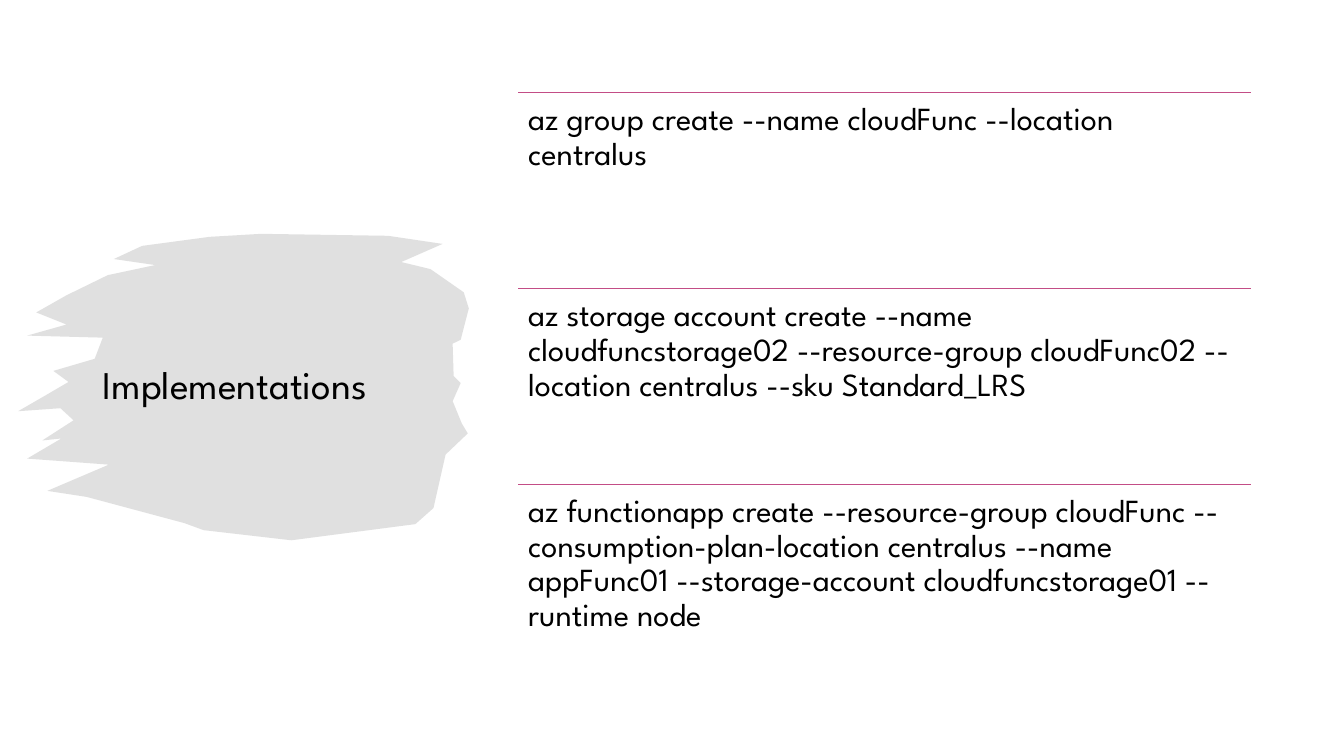
from lxml import etree
from pptx import Presentation
from pptx.dml.color import RGBColor
from pptx.enum import shapes, text
from pptx.oxml import ns
from pptx.util import Inches, Pt

BLACK = RGBColor(0x00, 0x00, 0x00)
GREY = RGBColor(0xD9, 0xD9, 0xD9)
PINK = RGBColor(0xC3, 0x4D, 0x86)

BRUSH_OUTLINE = [
    (2.59, 2.32), (3.85, 2.34), (4.39, 2.42), (3.98, 2.6), (4.27, 2.67),
    (4.6, 2.9), (4.65, 3.06), (4.57, 3.37), (4.49, 3.41), (4.5, 3.73),
    (4.57, 3.8), (4.49, 3.98), (4.58, 4.2), (4.64, 4.3), (4.42, 4.51),
    (4.3, 5.04), (4.12, 5.2), (2.89, 5.36), (2.02, 5.26), (1.83, 5.19),
    (0.86, 4.93), (0.47, 4.87), (1.08, 4.61), (0.27, 4.55), (0.61, 4.35),
    (0.42, 4.37), (0.73, 4.17), (0.6, 4.05), (0.18, 4.08), (0.44, 3.93),
    (0.68, 3.79), (0.53, 3.68), (0.94, 3.56), (1.02, 3.35), (0.27, 3.33),
    (0.66, 3.22), (0.36, 3.1), (0.66, 2.93), (1.07, 2.73), (1.54, 2.63),
    (1.13, 2.57), (1.41, 2.44), (2.08, 2.35),
]

COMMANDS = [
    "az group create --name cloudFunc --location centralus",
    "az storage account create --name cloudfuncstorage02 --resource-group "
    "cloudFunc02 --location centralus --sku Standard_LRS",
    "az functionapp create --resource-group cloudFunc --consumption-plan-location "
    "centralus --name appFunc01 --storage-account cloudfuncstorage01 --runtime node",
]
LIST_LEFT, LIST_TOP, LIST_WIDTH, LIST_HEIGHT = 5.14, 0.92, 7.27, 5.83


class SlideBuilder:
    font = "League Spartan"

    def __init__(self, slide):
        self.slide = slide

    def outline(self, points, color, opacity):
        """Draw a closed, filled outline; opacity is a percentage."""
        corners = [(Inches(x), Inches(y)) for x, y in points]
        builder = self.slide.shapes.build_freeform(*corners[0])
        builder.add_line_segments(corners[1:], close=True)
        shape = builder.convert_to_shape()
        shape.shadow.inherit = False
        shape.fill.solid()
        shape.fill.fore_color.rgb = color
        shape.line.fill.background()
        color_element = shape.element.spPr.find(".//" + ns.qn("a:srgbClr"))
        etree.SubElement(color_element, ns.qn("a:alpha"), val=str(opacity * 1000))

    def rule(self, left, top, width):
        line = self.slide.shapes.add_connector(
            shapes.MSO_CONNECTOR.STRAIGHT,
            Inches(left), Inches(top), Inches(left + width), Inches(top))
        line.line.color.rgb = PINK
        line.line.width = Pt(1)
        etree.SubElement(line.element.spPr, ns.qn("a:effectLst"))

    def text(self, content, left, top, width, height, size, anchor, inset):
        """Add one left-aligned paragraph; inset is the top and bottom margin."""
        box = self.slide.shapes.add_textbox(
            Inches(left), Inches(top), Inches(width), Inches(height))
        frame = box.text_frame
        frame.word_wrap = True
        frame.vertical_anchor = anchor
        frame.margin_top = frame.margin_bottom = Inches(inset)
        paragraph = frame.paragraphs[0]
        paragraph.line_spacing = 0.9
        run = paragraph.add_run()
        run.text = content
        run.font.name = self.font
        run.font.size = Pt(size)
        run.font.color.rgb = BLACK


def main():
    presentation = Presentation()
    presentation.slide_width = Inches(13.33)
    presentation.slide_height = Inches(7.5)
    builder = SlideBuilder(presentation.slides.add_slide(presentation.slide_layouts[6]))

    builder.outline(BRUSH_OUTLINE, GREY, opacity=80)
    builder.text("Implementations", 0.92, 1.64, 3.52, 4.4, 28, text.MSO_ANCHOR.MIDDLE, 0.05)

    row_height = LIST_HEIGHT / len(COMMANDS)
    for index, command in enumerate(COMMANDS):
        top = LIST_TOP + index * row_height
        builder.rule(LIST_LEFT, top, LIST_WIDTH)
        builder.text(command, LIST_LEFT, top, LIST_WIDTH, row_height, 23,
                     text.MSO_ANCHOR.TOP, 0.1)

    presentation.save("out.pptx")


if __name__ == "__main__":
    main()
